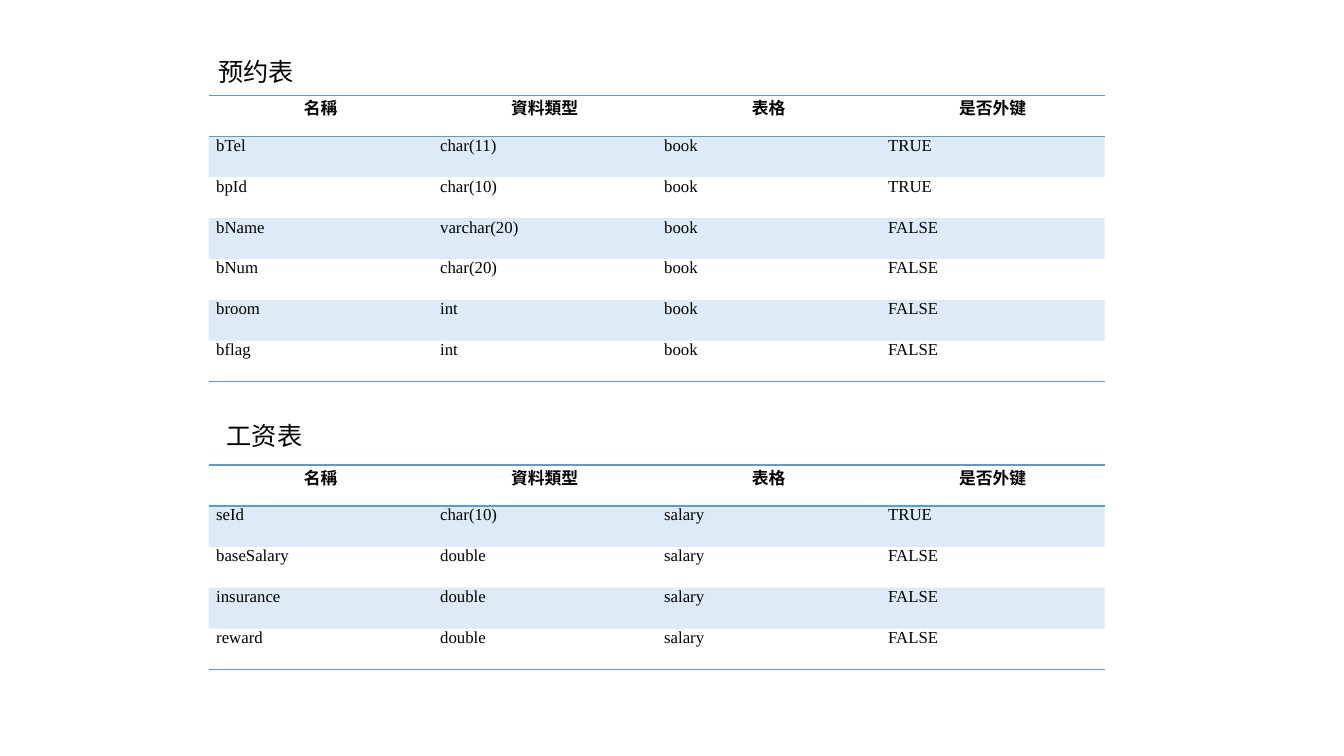
"""Build a slide with the field tables of a booking and a salary schema."""
from lxml.etree import SubElement
from pptx import Presentation
from pptx.dml.color import RGBColor
from pptx.enum.text import MSO_AUTO_SIZE as AutoSize, PP_ALIGN as Align
from pptx.oxml.ns import qn
from pptx.util import Pt

BLACK = RGBColor(0x00, 0x00, 0x00)
BLUE = RGBColor(0x5B, 0x9B, 0xD5)
PLAIN_STYLE = "{2D5ABB26-0587-4C30-8999-92F81FD0307C}"
TABLE_LEFT, COLUMN_WIDTH, ROW_HEIGHT = 149.04, 160, 29.2

TITLE = {"size": Pt(18), "name": "Calibri", "bold": False}
HEADER = {"size": Pt(12), "name": "Calibri", "bold": True}
BODY = {"size": Pt(12), "name": "Times New Roman", "bold": False}
MARGINS = {"margin_left": Pt(5.4), "margin_right": Pt(5.4), "margin_top": 0, "margin_bottom": 0}

COLUMNS = ("名稱", "資料類型", "表格", "是否外键")
BOOK_FIELDS = (
    ("bTel", "char(11)", "book", "TRUE"),
    ("bpId", "char(10)", "book", "TRUE"),
    ("bName", "varchar(20)", "book", "FALSE"),
    ("bNum", "char(20)", "book", "FALSE"),
    ("broom", "int", "book", "FALSE"),
    ("bflag", "int", "book", "FALSE"),
)
SALARY_FIELDS = (
    ("seId", "char(10)", "salary", "TRUE"),
    ("baseSalary", "double", "salary", "FALSE"),
    ("insurance", "double", "salary", "FALSE"),
    ("reward", "double", "salary", "FALSE"),
)


def set_attributes(target, values):
    """Set each attribute named in values on the target."""
    for name, value in values.items():
        setattr(target, name, value)


def write_text(paragraph, text, font_format, alignment=Align.LEFT):
    """Write one run of black text in the given format."""
    paragraph.alignment = alignment
    run = paragraph.add_run()
    run.text = text
    set_attributes(run.font, font_format)
    run.font.color.rgb = BLACK


def add_border(cell, tag):
    """Add a one-point blue border to one side of a cell."""
    properties = cell._tc.get_or_add_tcPr()
    line = SubElement(properties, qn(tag), w=str(Pt(1)))
    fill = SubElement(line, qn("a:solidFill"))
    SubElement(fill, qn("a:srgbClr"), val=str(BLUE))


def shade(cell):
    """Fill a cell with blue at 20 percent opacity."""
    cell.fill.solid()
    cell.fill.fore_color.rgb = BLUE
    color = cell._tc.tcPr.find(".//" + qn("a:srgbClr"))
    SubElement(color, qn("a:alpha"), val="20000")


def format_cell(cell, text, row, last_row):
    """Write a cell with the borders and fill of its row."""
    set_attributes(cell, MARGINS)
    is_header = row == 0
    write_text(
        cell.text_frame.paragraphs[0],
        text,
        HEADER if is_header else BODY,
        Align.CENTER if is_header else Align.LEFT,
    )
    if is_header:
        add_border(cell, "a:lnT")
    if row in (0, last_row):
        add_border(cell, "a:lnB")
    if row % 2:
        shade(cell)
    else:
        cell.fill.background()


def add_field_table(slide, top, fields):
    """Add a table with a header row and one row per field."""
    rows = (COLUMNS, *fields)
    frame = slide.shapes.add_table(
        len(rows), len(COLUMNS), Pt(TABLE_LEFT), Pt(top),
        Pt(COLUMN_WIDTH * len(COLUMNS)), Pt(ROW_HEIGHT * len(rows)),
    )
    table = frame.table
    table._tbl.tblPr.find(qn("a:tableStyleId")).text = PLAIN_STYLE
    for column in table.columns:
        column.width = Pt(COLUMN_WIDTH)
    for row, values in enumerate(rows):
        table.rows[row].height = Pt(ROW_HEIGHT)
        for column, text in enumerate(values):
            format_cell(table.cell(row, column), text, row, len(rows) - 1)


def add_title(slide, left, top, width, text):
    """Add the title above a table."""
    box = slide.shapes.add_textbox(Pt(left), Pt(top), Pt(width), Pt(29))
    set_attributes(box.text_frame, {"word_wrap": True, "auto_size": AutoSize.SHAPE_TO_FIT_TEXT})
    write_text(box.text_frame.paragraphs[0], text, TITLE)


def main():
    """Build and save the slide."""
    presentation = Presentation()
    set_attributes(presentation, {"slide_width": Pt(960), "slide_height": Pt(540)})
    slide = presentation.slides.add_slide(presentation.slide_layouts[6])
    add_field_table(slide, 68.2, BOOK_FIELDS)
    add_title(slide, TABLE_LEFT, 36.7, 119, "预约表")
    add_field_table(slide, 332.2, SALARY_FIELDS)
    add_title(slide, 154.8, 296.6, 96, "工资表")
    presentation.save("out.pptx")


if __name__ == "__main__":
    main()
